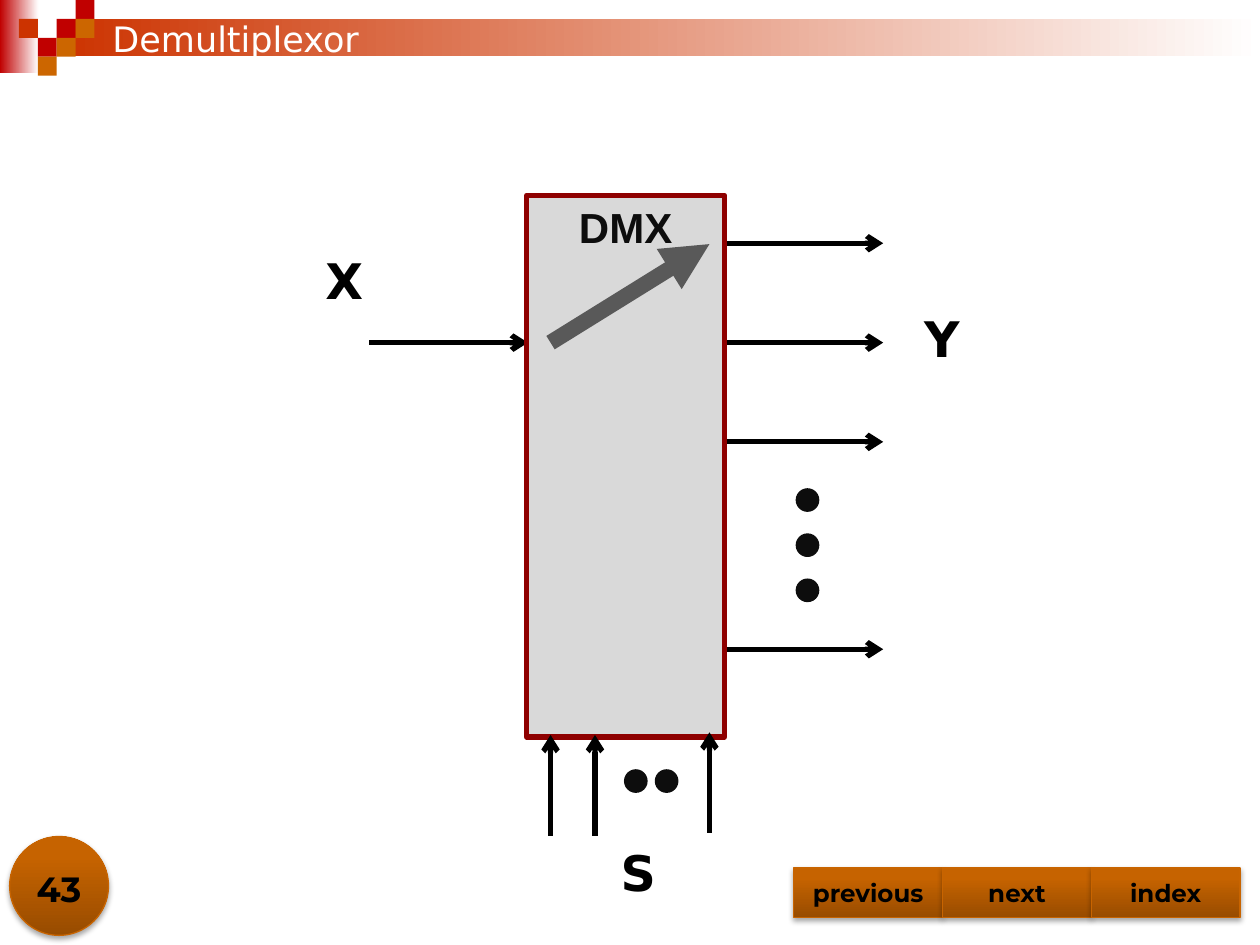
from copy import deepcopy

from lxml.etree import SubElement
from pptx import Presentation
from pptx.dml.color import RGBColor
from pptx.enum.shapes import MSO_CONNECTOR as Connector
from pptx.enum.shapes import MSO_SHAPE as Shape
from pptx.enum.text import MSO_ANCHOR as Anchor
from pptx.enum.text import PP_ALIGN as Align
from pptx.oxml import parse_xml
from pptx.oxml.ns import nsdecls, qn
from pptx.util import Pt

SOFT_SHADOW = (
    f'<a:effectLst {nsdecls("a")}>'
    '<a:outerShdw blurRad="40000" dist="23000" dir="5400000" rotWithShape="0">'
    '<a:srgbClr val="000000"><a:alpha val="35000"/></a:srgbClr>'
    "</a:outerShdw></a:effectLst>"
)


def color(value):
    return RGBColor.from_string(value)


class SlideBuilder:
    black, white, dot_ink = "000000", "FFFFFF", "0D0D0D"
    red, vermilion, orange = "C00000", "CC3300", "CC6600"
    button_stops = ((0, "984C00"), (80, "C66300"), (100, "C76300"))
    heading_font, button_font = "DejaVu Sans", "Montserrat"

    def __init__(self, deck):
        self.page = deck.slides.add_slide(deck.slide_layouts[5])
        self.shapes = self.page.shapes

    def caption(self, shape, text, font, size, ink, bold=True, align=Align.CENTER, anchor=Anchor.TOP):
        frame = shape.text_frame
        frame.word_wrap = True
        frame.vertical_anchor = anchor
        para = frame.paragraphs[0]
        para.text = text
        para.alignment = align
        para.font.name = font
        para.font.size = Pt(size)
        para.font.bold = bold
        para.font.color.rgb = color(ink)

    def title(self, text, left, top, width, height):
        title = self.shapes.title
        title.left, title.top, title.width, title.height = map(Pt, (left, top, width, height))
        self.caption(title, text, self.heading_font, 20, self.white, False, Align.LEFT, Anchor.MIDDLE)
        title.element.getparent().append(title.element)

    def label(self, text, left, top, width, height, font=heading_font, size=28, anchor=Anchor.TOP):
        box = self.shapes.add_textbox(Pt(left), Pt(top), Pt(width), Pt(height))
        self.caption(box, text, font, size, self.black, anchor=anchor)

    def shape(self, kind, left, top, width, height, fill=None, line=None, weight=1):
        shape = self.shapes.add_shape(kind, Pt(left), Pt(top), Pt(width), Pt(height))
        shape.shadow.inherit = False
        if fill:
            shape.fill.solid()
            shape.fill.fore_color.rgb = color(fill)
        if line:
            shape.line.color.rgb = color(line)
            shape.line.width = Pt(weight)
        else:
            shape.line.fill.background()
        return shape

    def gradient(self, shape, stops, angle=0):
        shape.fill.gradient()
        shape.fill.gradient_angle = angle
        stop_list = shape.element.spPr.find(".//" + qn("a:gsLst"))
        for _ in stops[2:]:
            stop_list.append(deepcopy(stop_list[-1]))
        for stop, (position, value) in zip(shape.fill.gradient_stops, stops):
            stop.position = position / 100
            stop.color.rgb = color(value)

    def band(self, left, top, width, height, start):
        band = self.shape(Shape.RECTANGLE, left, top, width, height)
        self.gradient(band, ((0, start), (100, self.white)))

    def glossy(self, kind, left, top, width, height):
        button = self.shape(kind, left, top, width, height, line="C86400", weight=0.75)
        self.gradient(button, self.button_stops, 90)
        properties = button.element.spPr
        properties.replace(properties.find(qn("a:effectLst")), parse_xml(SOFT_SHADOW))
        return button

    def button(self, text, left, top, width, height):
        button = self.glossy(Shape.ACTION_BUTTON_CUSTOM, left, top, width, height)
        self.caption(button, text, self.button_font, 14, self.black, anchor=Anchor.MIDDLE)

    def dot(self, left, top):
        self.shape(Shape.OVAL, left, top, 11.5, 11.5, self.dot_ink, self.dot_ink, 2)

    def arrow(self, x1, y1, x2, y2, ink=black, weight=3, head="arrow"):
        arrow = self.shapes.add_connector(Connector.STRAIGHT, Pt(x1), Pt(y1), Pt(x2), Pt(y2))
        arrow.line.color.rgb = color(ink)
        arrow.line.width = Pt(weight)
        SubElement(arrow.get_or_add_ln(), qn("a:tailEnd"), type=head)
        SubElement(arrow.element.spPr, qn("a:effectLst"))


def main():
    deck = Presentation()
    deck.slide_width, deck.slide_height = Pt(720), Pt(540)
    slide = SlideBuilder(deck)

    slide.band(0, 0, 22, 41.8, slide.red)
    slide.band(32.4, 10.8, 687.6, 21.4, slide.vermilion)
    cell = 10.8
    for column, row, fill in (
        (3, 1, slide.red), (4, 0, slide.red), (4, 1, slide.orange), (2, 2, slide.red),
        (1, 1, slide.vermilion), (3, 2, slide.orange), (2, 3, slide.orange),
    ):
        slide.shape(Shape.RECTANGLE, column * cell, row * cell, cell, cell, fill)
    slide.title("Demultiplexor", 57, 6, 612, 31.5)

    slide.glossy(Shape.OVAL, 5.5, 478, 56.5, 56.5)
    slide.label("43", 0, 487.5, 67.5, 36, slide.button_font, 20, Anchor.BOTTOM)
    for index, text in enumerate(("previous", "next", "index")):
        slide.button(text, 453.6 + index * 85, 496, 85, 28.3)

    for text, left, top in (("X", 156, 139.7), ("Y", 497.5, 172.8), ("S", 324, 478)):
        slide.label(text, left, top, 81.4, 45.4)

    slide.arrow(211, 195.8, 301.7, 195.8)
    for y in (139, 195.8, 252.5, 371):
        slide.arrow(414, y, 504.7, y)
    for index in range(3):
        slide.dot(455.7, 280 + index * 25.8)

    body = slide.shape(Shape.RECTANGLE, 301, 111.6, 113, 309.6, "D9D9D9", "8E0000", 3)
    slide.caption(body, "DMX", "Arial", 24, slide.dot_ink)
    for x, tip in ((314.6, 420), (340, 420), (405.4, 418.5)):
        slide.arrow(x, tip + 57.5, x, tip)
    for x in (357.6, 375.2):
        slide.dot(x, 440.6)
    slide.arrow(314.6, 195.8, 405.4, 139.5, "595959", 9, "triangle")

    deck.save("out.pptx")


if __name__ == "__main__":
    main()
